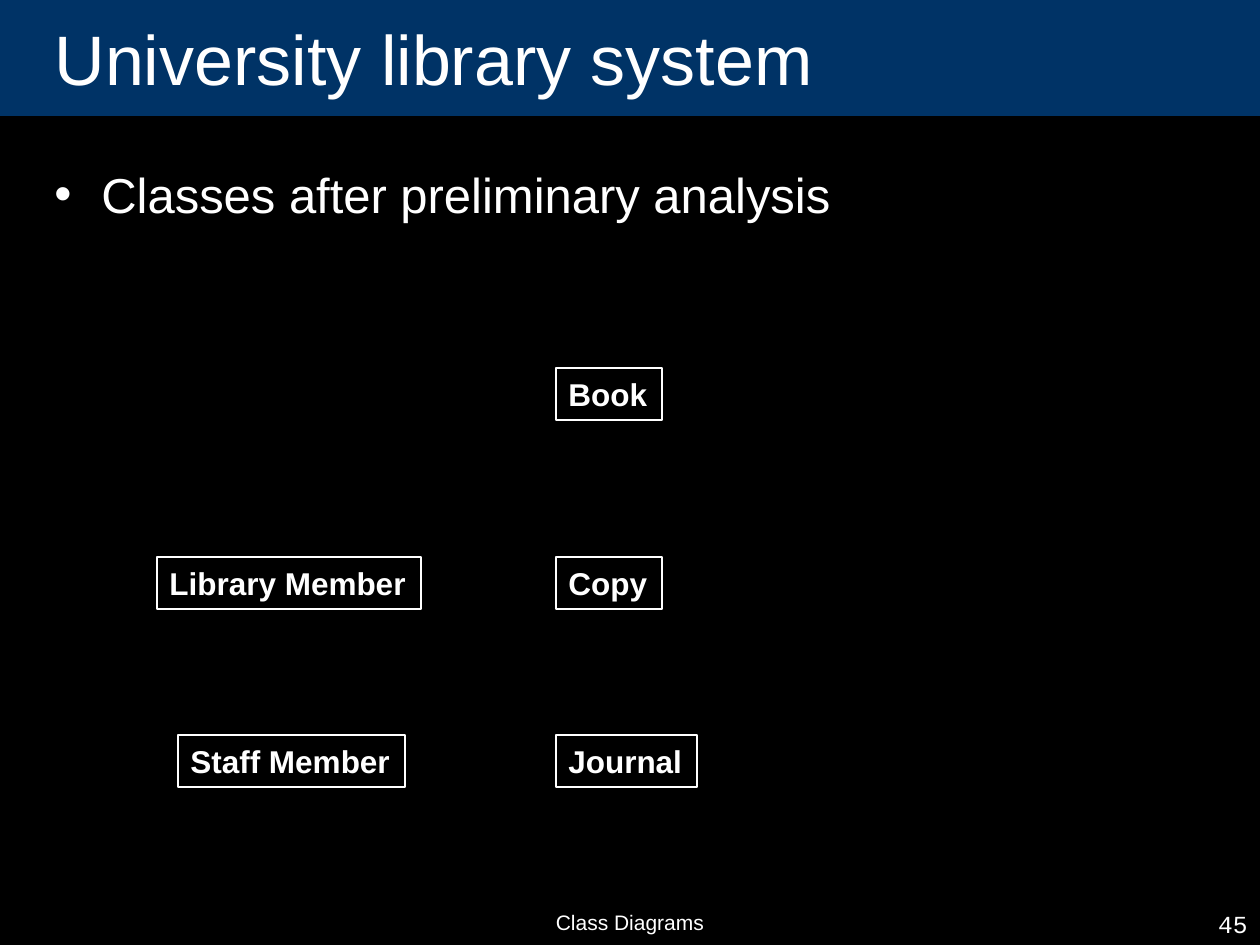
"""Builds the class list slide of the university library system."""
from dataclasses import dataclass

from lxml.etree import SubElement
from pptx import Presentation
from pptx.dml.color import RGBColor
from pptx.enum.shapes import MSO_SHAPE as Preset
from pptx.enum.text import MSO_ANCHOR as Anchor, MSO_AUTO_SIZE as AutoSize, PP_ALIGN as Align
from pptx.oxml.ns import qn
from pptx.util import Emu, Pt


@dataclass(frozen=True)
class Theme:
    background: RGBColor = RGBColor.from_string("000000")
    band: RGBColor = RGBColor.from_string("003366")
    ink: RGBColor = RGBColor.from_string("FFFFFF")
    font: str = "Arial"
    number_font: str = "Courier New"
    title: int = 40
    body: int = 28
    label: int = 18
    footer: int = 12
    number: int = 14


theme = Theme()


def px(*lengths):
    return [Emu(round(length * 914400 / 126)) for length in lengths]


def write(shape, text, size, align=Align.LEFT, font=theme.font, bold=False):
    shape.text_frame.text = text
    paragraph = shape.text_frame.paragraphs[0]
    paragraph.alignment = align
    run_font = paragraph.runs[0].font
    run_font.name = font
    run_font.size = Pt(size)
    run_font.bold = bold
    run_font.color.rgb = theme.ink
    return paragraph


presentation = Presentation()
presentation.slide_width, presentation.slide_height = px(1260, 945)
slide = presentation.slides.add_slide(presentation.slide_layouts[5])
slide.background.fill.solid()
slide.background.fill.fore_color.rgb = theme.background

title = slide.shapes.title
title.left, title.top, title.width, title.height = px(42, 0, 1124, 116)
band = slide.shapes.add_shape(Preset.RECTANGLE, *px(0, 0, 1260, 116))
band.shadow.inherit = False
band.line.fill.background()
title.element.addprevious(band.element)
for shape in (band, title):
    shape.fill.solid()
    shape.fill.fore_color.rgb = theme.band
title.text_frame.auto_size = AutoSize.NONE
title.text_frame.vertical_anchor = Anchor.MIDDLE
write(title, "University library system", theme.title)

body = slide.shapes.add_textbox(*px(42, 158, 1187, 725))
body.text_frame.word_wrap = True
paragraph = write(body, "Classes after preliminary analysis", theme.body)
properties = paragraph.runs[0].font and paragraph._p.get_or_add_pPr()
indent = px(47)[0]
properties.set("marL", str(indent))
properties.set("indent", str(-indent))
SubElement(properties, qn("a:buFont")).set("typeface", theme.font)
SubElement(properties, qn("a:buChar")).set("char", "•")

classes = [
    ("Book", 556, 368, 106),
    ("Copy", 556, 557, 106),
    ("Library Member", 157, 557, 264),
    ("Staff Member", 178, 735, 227),
    ("Journal", 556, 735, 141),
]
for name, left, top, width in classes:
    box = slide.shapes.add_shape(Preset.RECTANGLE, *px(left, top, width, 52))
    box.shadow.inherit = False
    box.fill.background()
    box.line.color.rgb = theme.ink
    box.line.width = Pt(1)
    box.text_frame.word_wrap = False
    box.text_frame.auto_size = AutoSize.SHAPE_TO_FIT_TEXT
    write(box, name, theme.label, bold=True)

footers = [
    ("Class Diagrams", 430, 400, theme.footer, Align.CENTER, theme.font),
    ("45", 998, 262, theme.number, Align.RIGHT, theme.number_font),
]
for text, left, width, size, align, font in footers:
    footer = slide.shapes.add_textbox(*px(left, 903, width, 42))
    footer.text_frame.word_wrap = True
    write(footer, text, size, align, font)

presentation.save("out.pptx")
